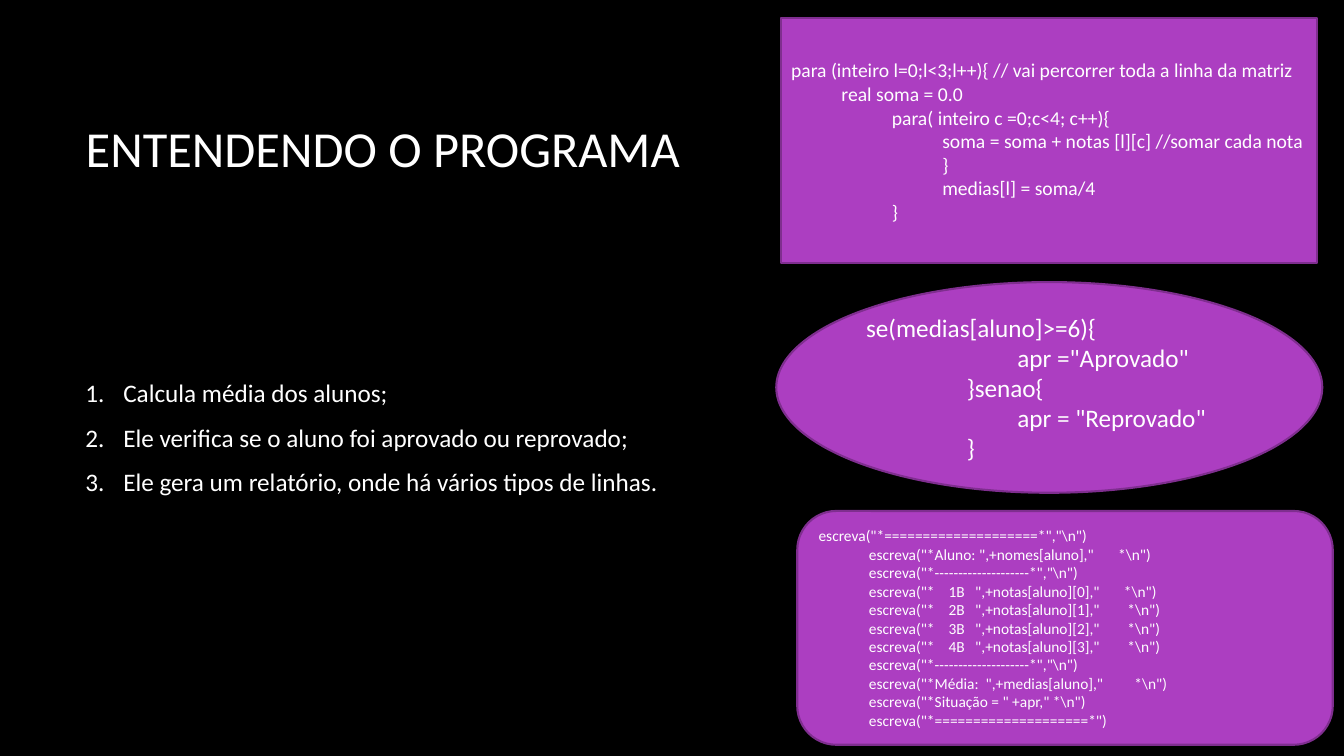
from dataclasses import dataclass

from lxml import etree
from pptx import Presentation
from pptx.dml.color import RGBColor
from pptx.enum.shapes import MSO_SHAPE
from pptx.enum.text import MSO_ANCHOR, MSO_AUTO_SIZE, PP_ALIGN
from pptx.oxml.ns import qn
from pptx.slide import Slide
from pptx.text.text import TextFrame
from pptx.util import Pt

RECTANGLE = MSO_SHAPE.RECTANGLE
ELLIPSE = MSO_SHAPE.OVAL
ROUNDED = MSO_SHAPE.ROUNDED_RECTANGLE
MIDDLE = MSO_ANCHOR.MIDDLE
LEFT = PP_ALIGN.LEFT
NO_FIT = MSO_AUTO_SIZE.NONE

FONT = "Calibri"
COLOURS = {
    "background": "000000",
    "text": "FFFFFF",
    "panel": "AC3EC1",
    "outline": "7F2E8F",
}
STEP_INDENT = 27


@dataclass
class CodePanel:
    outline: MSO_SHAPE
    left: float
    top: float
    width: float
    height: float
    size: float
    code: list[str]


STEPS = [
    "Calcula média dos alunos;",
    "Ele verifica se o aluno foi aprovado ou reprovado;",
    "Ele gera um relatório, onde há vários tipos de linhas.",
]

AVERAGE_CODE = [
    "para (inteiro l=0;l<3;l++){ // vai percorrer toda a linha da matriz",
    "\treal soma = 0.0",
    "\t\tpara( inteiro c =0;c<4; c++){",
    "\t\t\tsoma = soma + notas [l][c] //somar cada nota",
    "\t\t\t}",
    "\t\t\tmedias[l] = soma/4",
    "\t\t}",
]

RESULT_CODE = [
    "se(medias[aluno]>=6){",
    '\t\t\tapr ="Aprovado"',
    "\t\t}senao{",
    '\t\t\tapr = "Reprovado"',
    "\t\t}",
]

REPORT_CODE = [
    r'escreva("*====================*","\n")',
    "\t" + r'escreva("*Aluno: ",+nomes[aluno],"       *\n")',
    "\t" + r'escreva("*--------------------*","\n")',
    "\t" + r'escreva("*    1B   ",+notas[aluno][0],"       *\n")',
    "\t" + r'escreva("*    2B   ",+notas[aluno][1],"        *\n")',
    "\t" + r'escreva("*    3B   ",+notas[aluno][2],"        *\n")',
    "\t" + r'escreva("*    4B   ",+notas[aluno][3],"        *\n")',
    "\t" + r'escreva("*--------------------*","\n")',
    "\t" + r'escreva("*Média:  ",+medias[aluno],"         *\n")',
    "\t" + r'escreva("*Situação = " +apr," *\n")',
    "\t" + 'escreva("*====================*")',
]

PANELS = [
    CodePanel(RECTANGLE, 558, 13, 382.5, 175, 14, AVERAGE_CODE),
    CodePanel(ELLIPSE, 554.5, 201.5, 390, 150.5, 18, RESULT_CODE),
    CodePanel(ROUNDED, 569.5, 365, 382.5, 167, 11, REPORT_CODE),
]


def colour(name: str) -> RGBColor:
    return RGBColor.from_string(COLOURS[name])


def write_lines(frame: TextFrame, lines: list[str], size: float) -> None:
    frame.text = "\n".join(lines)
    frame.word_wrap = True
    frame.auto_size = NO_FIT
    frame.vertical_anchor = MIDDLE
    for paragraph in frame.paragraphs:
        paragraph.alignment = LEFT
        for run in paragraph.runs:
            run.font.name = FONT
            run.font.size = Pt(size)
            run.font.color.rgb = colour("text")


def number_paragraphs(frame: TextFrame) -> None:
    for paragraph in frame.paragraphs:
        paragraph.space_after = Pt(10)
        properties = paragraph._p.get_or_add_pPr()
        properties.set("marL", str(Pt(STEP_INDENT)))
        properties.set("indent", str(-Pt(STEP_INDENT)))
        numbering = etree.SubElement(properties, qn("a:buAutoNum"))
        numbering.set("type", "arabicPeriod")


def draw_panel(slide: Slide, panel: CodePanel) -> None:
    shape = slide.shapes.add_shape(
        panel.outline, Pt(panel.left), Pt(panel.top), Pt(panel.width), Pt(panel.height)
    )
    shape.shadow.inherit = False
    shape.fill.solid()
    shape.fill.fore_color.rgb = colour("panel")
    shape.line.color.rgb = colour("outline")
    shape.line.width = Pt(1.5)
    write_lines(shape.text_frame, panel.code, panel.size)


def main() -> None:
    presentation = Presentation()
    presentation.slide_width = Pt(960)
    presentation.slide_height = Pt(540)
    slide = presentation.slides.add_slide(presentation.slide_layouts[5])
    slide.background.fill.solid()
    slide.background.fill.fore_color.rgb = colour("background")

    # Title
    title = slide.shapes.title
    title.left, title.top = Pt(54), Pt(48)
    title.width, title.height = Pt(798), Pt(114.5)
    write_lines(title.text_frame, ["ENTENDENDO O PROGRAMA"], 36)

    # Numbered steps of the program
    steps = slide.shapes.add_textbox(Pt(54), Pt(168.5), Pt(798), Pt(287.5))
    write_lines(steps.text_frame, STEPS, 18)
    number_paragraphs(steps.text_frame)

    # Code panels
    for panel in PANELS:
        draw_panel(slide, panel)

    presentation.save("out.pptx")


if __name__ == "__main__":
    main()
